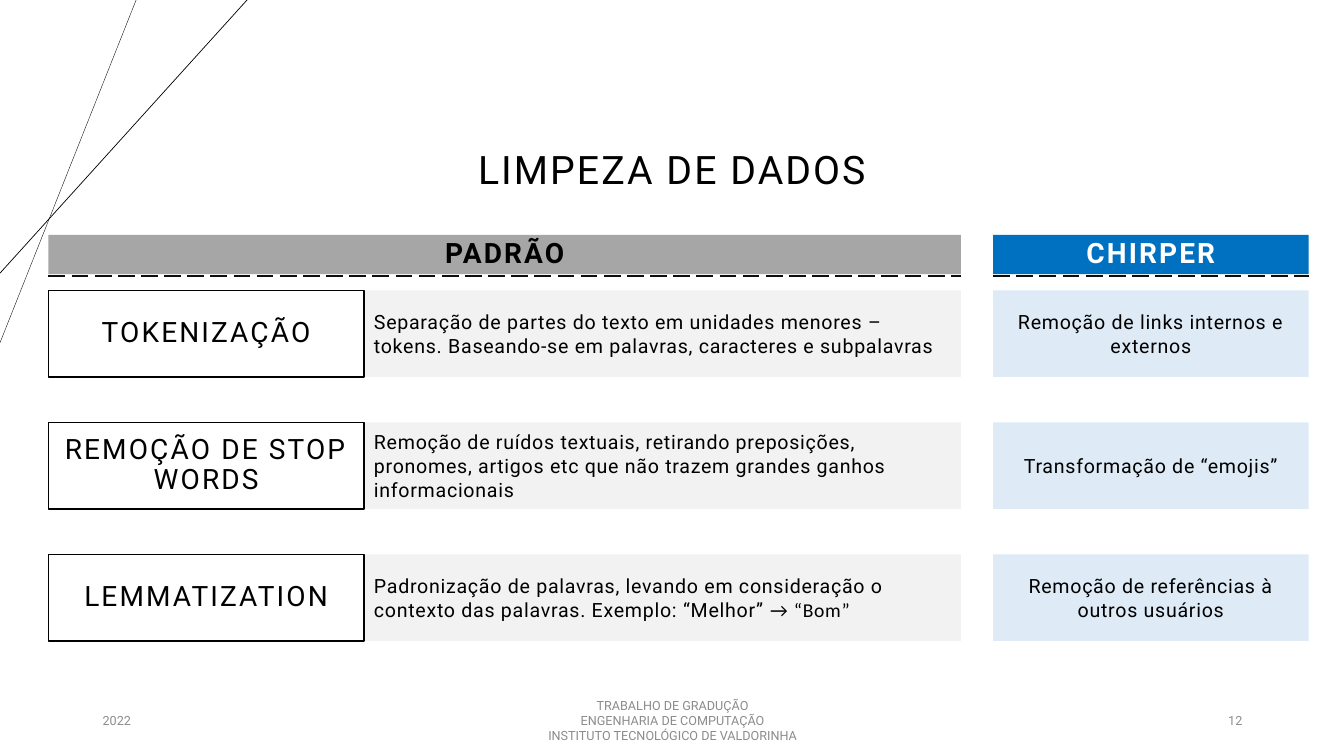
from lxml import etree
from pptx import Presentation
from pptx.dml.color import RGBColor
from pptx.enum.dml import MSO_LINE_DASH_STYLE as Dash
from pptx.enum.shapes import MSO_CONNECTOR as Conn, MSO_SHAPE as Shape
from pptx.enum.text import MSO_ANCHOR as Anchor, PP_ALIGN as Align
from pptx.oxml.ns import qn
from pptx.util import Inches, Pt

# Formats: font and para hold attributes, spc is in hundredths of a point
TITLE = dict(font=dict(size=Pt(28)), color="000000", spc=150,
             para=dict(alignment=Align.CENTER, line_spacing=0.9))
LABEL = dict(font=dict(size=Pt(20)), color="000000", spc=150,
             para=dict(alignment=Align.CENTER, line_spacing=0.9,
                       space_before=Pt(10)))
HEAD = {**LABEL, "font": dict(size=Pt(20), bold=True)}
BODY = dict(font=dict(size=Pt(14)), color="000000", spc=50,
            para=dict(alignment=Align.LEFT, space_before=Pt(10)))
NOTE = {**BODY, "para": dict(alignment=Align.CENTER, space_before=Pt(10))}
FOOT = dict(font=dict(size=Pt(9)), color="8C8C8C", spc=0, para={})

# Columns as (left, width)
NAME, DESC, SITE, WIDE = (0.48, 3.13), (3.61, 5.92), (9.85, 3.13), (0.48, 9.05)
TOP, STEP, HIGH = 2.88, 1.31, 0.86

ROWS = [
    ("TOKENIZAÇÃO",
     ["Separação de partes do texto em unidades menores – tokens. "
      "Baseando-se em palavras, caracteres e subpalavras"],
     "Remoção de links internos e externos"),
    ("REMOÇÃO DE STOP WORDS",
     ["Remoção de ruídos textuais, retirando preposições, pronomes, "
      "artigos etc que não trazem grandes ganhos informacionais"],
     "Transformação de “emojis”"),
    ("LEMMATIZATION",
     ["Padronização de palavras, levando em consideração o contexto das "
      "palavras. Exemplo: “Melhor” ", "→ “Bom”"],
     "Remoção de referências à outros usuários"),
]
HEADS = [("PADRÃO", WIDE, "A6A6A6", "000000"),
         ("CHIRPER", SITE, "0070C0", "FFFFFF")]
FEET = [
    (0.92, 3, Align.LEFT, ["2022"]),
    (4.42, 4.5, Align.CENTER, ["TRABALHO DE GRADUÇÃO",
                               "ENGENHARIA DE COMPUTAÇÃO",
                               "INSTITUTO TECNOLÓGICO DE VALDORINHA"]),
    (9.42, 3, Align.RIGHT, ["12"]),
]


def tint(text):
    return RGBColor.from_string(text)


def apply(item, values):
    for key, value in values.items():
        setattr(item, key, value)


def write(shape, paras, style):
    """Fill a shape with paragraphs; each is a list of runs."""
    frame = shape.text_frame
    apply(frame, dict(word_wrap=True, vertical_anchor=Anchor.MIDDLE))
    for i, runs in enumerate(paras):
        para = frame.add_paragraph() if i else frame.paragraphs[0]
        apply(para, style["para"])
        for j, text in enumerate(runs):
            run = para.add_run()
            run.text = text
            # A second run holds the arrow example
            apply(run.font, {**style["font"],
                             "name": "Calibri" if j else "Roboto"})
            run.font.color.rgb = tint(style["color"])
            run._r.get_or_add_rPr().set("spc", str(style["spc"]))


def add_text(slide, box, paras, style):
    write(slide.shapes.add_textbox(*map(Inches, box)), paras, style)


def add_box(slide, box, fill, runs, style, edge=None):
    rect = slide.shapes.add_shape(Shape.RECTANGLE, *map(Inches, box))
    rect.shadow.inherit = False
    rect.fill.solid()
    rect.fill.fore_color.rgb = tint(fill)
    if edge:
        rect.line.color.rgb = tint(edge)
        rect.line.width = Pt(1)
    else:
        rect.line.fill.background()
    write(rect, [runs], style)


def add_line(slide, ends, color, width, dash=None):
    line = slide.shapes.add_connector(Conn.STRAIGHT, *map(Inches, ends))
    line.line.color.rgb = tint(color)
    apply(line.line, dict(width=Pt(width), dash_style=dash))
    etree.SubElement(line._element.spPr, qn("a:effectLst"))


def main():
    deck = Presentation()
    apply(deck, dict(slide_width=Inches(13.33), slide_height=Inches(7.5)))
    slide = deck.slides.add_slide(deck.slide_layouts[6])

    # Corner lines and title
    add_line(slide, (1.35, 0, 0, 3.4), "000000", 0.25)
    add_line(slide, (2.45, 0, 0, 2.71), "000000", 0.5)
    add_text(slide, (2.06, 0.98, 9.21, 1.45), [["LIMPEZA DE DADOS"]], TITLE)

    # Column heads with dashed rules
    for text, (left, width), fill, color in HEADS:
        add_box(slide, (left, 2.33, width, 0.39), fill, [text],
                {**HEAD, "color": color})
        add_line(slide, (left, 2.74, left + width, 2.74), "0D0D0D", 1.5,
                 Dash.LONG_DASH)

    # Steps: description, name, site-specific cleaning
    for i, (name, desc, site) in enumerate(ROWS):
        cells = [(DESC, "F2F2F2", desc, BODY, None),
                 (NAME, "FFFFFF", [name], LABEL, "000000"),
                 (SITE, "DEEBF7", [site], NOTE, None)]
        for (left, width), fill, runs, style, edge in cells:
            add_box(slide, (left, TOP + i * STEP, width, HIGH), fill, runs,
                    style, edge)

    # Footer
    for left, width, align, lines in FEET:
        add_text(slide, (left, 6.95, width, 0.4), [[t] for t in lines],
                 {**FOOT, "para": dict(alignment=align)})

    deck.save("out.pptx")


if __name__ == "__main__":
    main()
